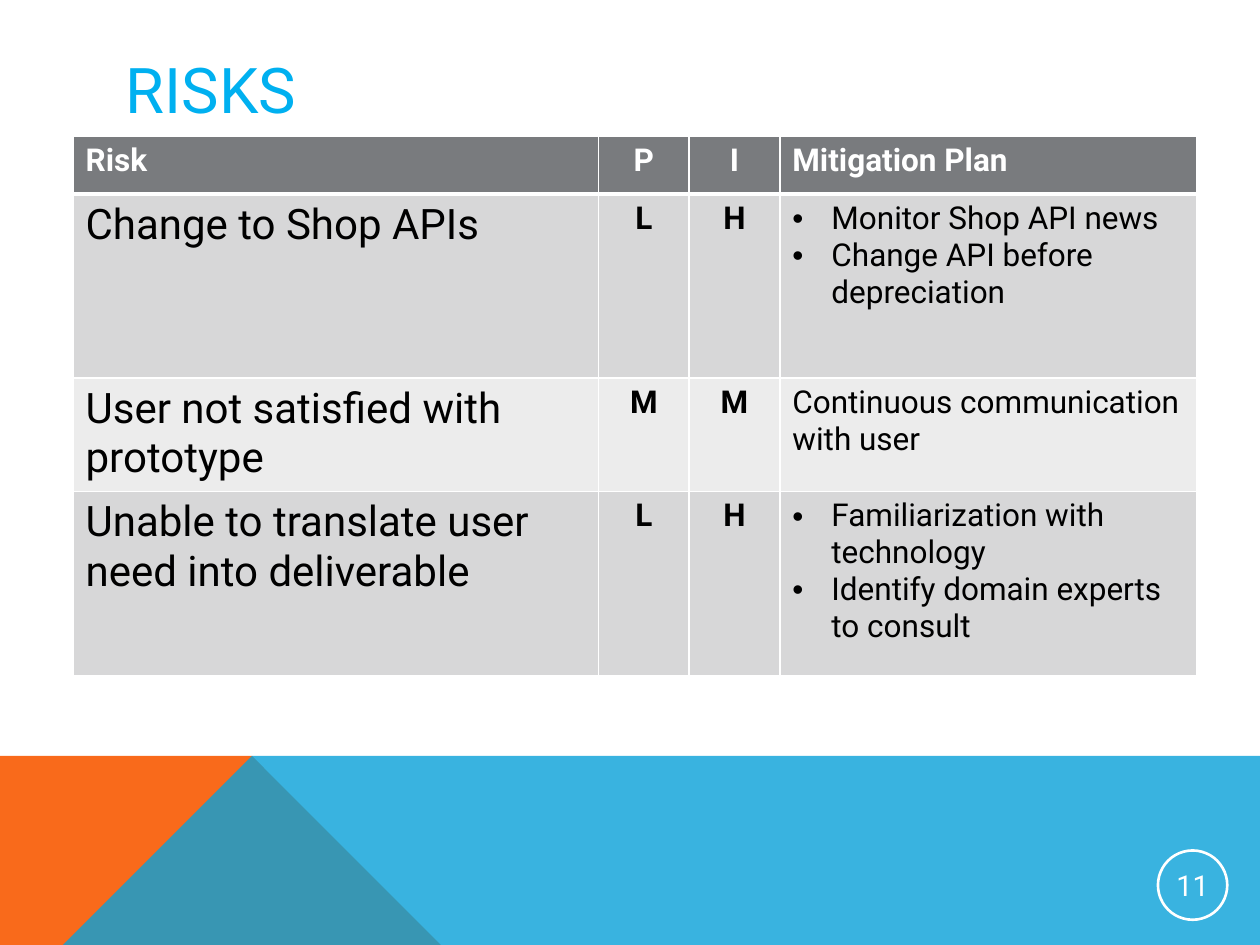
from lxml.etree import SubElement
from pptx import Presentation
from pptx.dml.color import RGBColor
from pptx.enum.shapes import MSO_SHAPE
from pptx.enum.text import MSO_ANCHOR, PP_ALIGN
from pptx.oxml.ns import qn
from pptx.util import Inches, Pt

# Content
TITLE = "RISKS"
PAGE = "11"
HEADER = ("Risk", "P", "I", "Mitigation Plan")
RISKS = [
    ("Change to Shop APIs", "L", "H",
     ["Monitor Shop API news", "Change API before depreciation"]),
    ("User not satisfied with prototype", "M", "M",
     ["Continuous communication with user"]),
    ("Unable to translate user need into deliverable", "L", "H",
     ["Familiarization with technology", "Identify domain experts to consult"]),
]

# Theme and layout, in inches and points
THEME = dict(font="Roboto", title="00B0F0", white="FFFFFF", black="000000",
             header="797B7E", bands=("D7D7D8", "ECECEC"),
             orange="F96A1B", blue="08A1D9", blue_alpha=80,
             title_size=36, risk_size=24, cell_size=18, page_size=16.5)
W, H = 10, 7.5
BAND_TOP, PEAK_X, FOOT_X = 5.52, 2.23, 3.91
COLS = (4.17, 0.72, 0.72, 3.31)
ROWS = (0.46, 1.46, 0.88, 1.46)
TABLE_LEFT, TABLE_TOP = 0.58, 1.08
INDENT = 0.31
BADGE = 0.55


def rgb(name):
    return RGBColor.from_string(THEME.get(name, name))


def style(p, size, color, bold=False, align=PP_ALIGN.LEFT):
    p.alignment = align
    for r in p.runs:
        r.font.name, r.font.size, r.font.bold = THEME["font"], Pt(size), bold
        r.font.color.rgb = rgb(color)


def polygon(s, points, color, alpha=100):
    builder = s.shapes.build_freeform(*points[0], scale=Inches(1))
    builder.add_line_segments(points[1:], close=True)
    sp = builder.convert_to_shape()
    sp.shadow.inherit = False
    sp.fill.solid()
    sp.fill.fore_color.rgb = rgb(color)
    sp.line.fill.background()
    if alpha < 100:
        clr = sp.fill._xPr.find(qn("a:solidFill"))[0]
        SubElement(clr, qn("a:alpha"), val=str(alpha * 1000))


def set_borders(cell, bottom):
    """White lines on all sides; they must come before the cell's fill."""
    tcPr = cell._tc.get_or_add_tcPr()
    for i, (side, width) in enumerate((("L", 1), ("R", 1), ("T", 1), ("B", bottom))):
        ln = SubElement(tcPr, qn(f"a:ln{side}"), w=str(Pt(width)))
        fill = SubElement(ln, qn("a:solidFill"))
        SubElement(fill, qn("a:srgbClr"), val=THEME["white"])
        tcPr.insert(i, ln)


def add_bullet(p):
    pPr = p._p.get_or_add_pPr()
    pPr.set("marL", str(Inches(INDENT)))
    pPr.set("indent", str(-Inches(INDENT)))
    SubElement(pPr, qn("a:buFont"), typeface="Arial")
    SubElement(pPr, qn("a:buChar"), char="•")


def add_risk_table(s):
    frame = s.shapes.add_table(len(ROWS), len(COLS), Inches(TABLE_LEFT), Inches(TABLE_TOP),
                               Inches(sum(COLS)), Inches(sum(ROWS)))
    table = frame.table
    for column, width in zip(table.columns, COLS):
        column.width = Inches(width)
    for row, height in zip(table.rows, ROWS):
        row.height = Inches(height)

    for i, values in enumerate([HEADER, *RISKS]):
        is_header = i == 0
        for j, value in enumerate(values):
            cell = table.cell(i, j)
            cell.fill.solid()
            cell.fill.fore_color.rgb = rgb("header" if is_header else THEME["bands"][(i - 1) % 2])
            set_borders(cell, bottom=3 if is_header else 1)
            lines = value if isinstance(value, list) else [value]
            cell.text_frame.text = "\n".join(lines)
            rating = j in (1, 2)
            size = THEME["risk_size" if j == 0 and not is_header else "cell_size"]
            for p in cell.text_frame.paragraphs:
                style(p, size, "white" if is_header else "black", is_header or rating,
                      PP_ALIGN.CENTER if rating else PP_ALIGN.LEFT)
                if len(lines) > 1:
                    add_bullet(p)


def main():
    prs = Presentation()
    prs.slide_width, prs.slide_height = Inches(W), Inches(H)
    s = prs.slides.add_slide(prs.slide_layouts[6])

    # Footer band
    polygon(s, [(0, H), (0, BAND_TOP), (PEAK_X, BAND_TOP), (FOOT_X, H)], "orange")
    polygon(s, [(0, H), (PEAK_X, BAND_TOP), (W, BAND_TOP), (W, H)], "blue", THEME["blue_alpha"])

    # Title
    tf = s.shapes.add_textbox(Inches(0.9), Inches(0.4), Inches(8.22), Inches(0.6)).text_frame
    tf.word_wrap = True
    tf.vertical_anchor = MSO_ANCHOR.MIDDLE
    tf.text = TITLE
    style(tf.paragraphs[0], THEME["title_size"], "title")

    add_risk_table(s)

    # Page number badge
    sp = s.shapes.add_shape(MSO_SHAPE.OVAL, Inches(9.19), Inches(6.75), Inches(BADGE), Inches(BADGE))
    sp.shadow.inherit = False
    sp.fill.background()
    sp.line.color.rgb = rgb("white")
    sp.line.width = Pt(1.5)
    tf = sp.text_frame
    tf.margin_left = tf.margin_right = tf.margin_top = tf.margin_bottom = Inches(0.01)
    tf.vertical_anchor = MSO_ANCHOR.MIDDLE
    tf.text = PAGE
    style(tf.paragraphs[0], THEME["page_size"], "white", align=PP_ALIGN.CENTER)

    prs.save("out.pptx")


if __name__ == "__main__":
    main()
